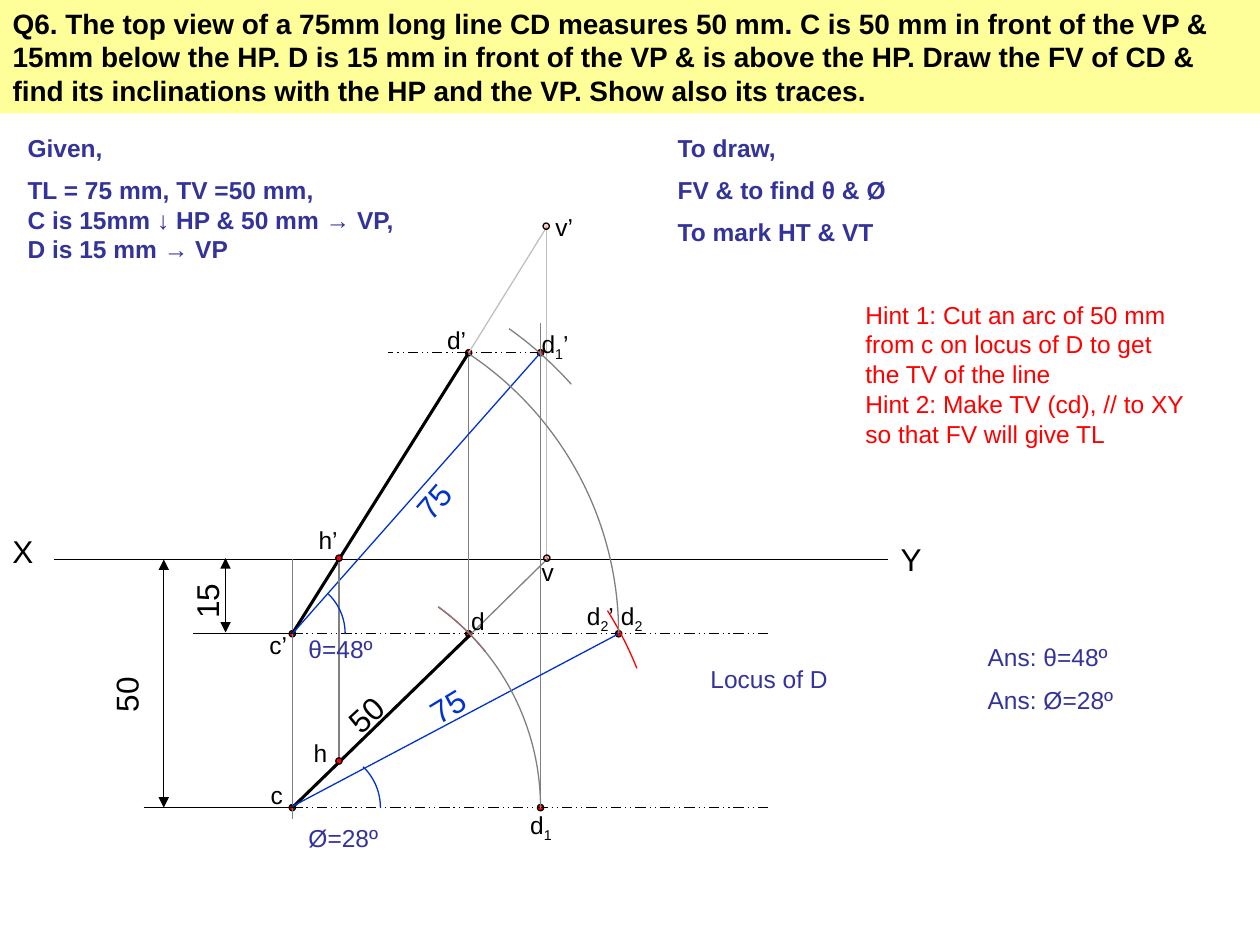
from copy import deepcopy

from lxml.etree import SubElement
from pptx import Presentation
from pptx.dml.color import RGBColor
from pptx.enum.dml import MSO_LINE
from pptx.enum.shapes import MSO_CONNECTOR, MSO_SHAPE
from pptx.enum.text import MSO_ANCHOR, MSO_AUTO_SIZE, PP_ALIGN
from pptx.oxml.ns import qn
from pptx.util import Pt

PX = 9144  # 100 px to the inch
BLACK, GREY, SILVER = "000000", "808080", "C0C0C0"
RED, BLUE, NAVY = "FF0000", "0033CC", "333399"
rgb = RGBColor.from_string

prs = Presentation()
prs.slide_width, prs.slide_height = 1000 * PX, 750 * PX
s = prs.slides.add_slide(prs.slide_layouts[5])


def add_text(x, y, w, h, text, color=BLACK, size=14, bold=False, angle=0):
    """Text box; in a label, _ makes the next character a subscript."""
    sp = s.shapes.add_textbox(x * PX, y * PX, w * PX, h * PX)
    sp.rotation = angle
    tf = sp.text_frame
    tf.word_wrap = True
    if "_" in text:
        base, rest = text.split("_")
        for part in (base, rest[0], rest[1:]):
            if part:
                tf.paragraphs[0].add_run().text = part
        tf.paragraphs[0].runs[1].font._element.set("baseline", "-25000")
    else:
        tf.text = text
    for i, p in enumerate(tf.paragraphs):
        if i:
            p.space_before = Pt(size / 2)
        for r in p.runs:
            r.font.name, r.font.size, r.font.bold = "Arial", Pt(size), bold
            r.font.color.rgb = rgb(color)
        for br in p._p.findall(qn("a:br")):
            br.append(deepcopy(p.runs[0].font._element))


def add_dot(x, y, opacity=100):
    """Point marker centred on x, y."""
    sp = s.shapes.add_shape(MSO_SHAPE.OVAL, int((x - 2.5) * PX), int((y - 2.5) * PX),
                            5 * PX, 5 * PX)
    sp.shadow.inherit = False
    sp.fill.solid()
    sp.fill.fore_color.rgb = rgb(RED)
    if opacity < 100:
        clr = sp._element.spPr.find(".//" + qn("a:srgbClr"))
        SubElement(clr, qn("a:alpha"), val=str(opacity * 1000))
    sp.line.color.rgb = rgb(BLACK)
    sp.line.width = Pt(0.75)


# Question banner
title = s.shapes.title
title.left, title.top, title.width, title.height = 0, 0, 1000 * PX, 90 * PX
title.fill.solid()
title.fill.fore_color.rgb = rgb("FFFF99")
tf = title.text_frame
tf.text = ("Q6. The top view of a 75mm long line CD measures 50 mm. C is 50 mm in front "
           "of the VP & 15mm below the HP. D is 15 mm in front of the VP & is above the HP. "
           "Draw the FV of CD & find its inclinations with the HP and the VP. "
           "Show also its traces.")
tf.auto_size = MSO_AUTO_SIZE.NONE
tf.vertical_anchor = MSO_ANCHOR.TOP
p = tf.paragraphs[0]
p.alignment = PP_ALIGN.LEFT
r = p.runs[0]
r.font.name, r.font.size, r.font.bold = "Arial", Pt(16), True
r.font.color.rgb = rgb(BLACK)

# Points of the views: c', c, d, d1, d1', d', d2
for x, y in [(232, 503), (232, 641), (372, 503), (429, 641), (429, 280),
             (372, 280), (491, 503)]:
    add_dot(x, y)

# Lines: from, to, colour, width, style
lines = [
    (43, 444, 705, 444, BLACK, 0.75, ""),        # XY
    (179, 443, 179, 502, BLACK, 0.75, "arrows"),  # dimensions
    (130, 444, 130, 641, BLACK, 0.75, "arrows"),
    (153, 503, 232, 503, BLACK, 0.75, ""),
    (114, 641, 232, 641, BLACK, 0.75, ""),
    (232, 444, 232, 650, GREY, 0.75, ""),        # projectors and loci
    (232, 503, 611, 503, BLACK, 0.75, "dash"),
    (232, 641, 610, 641, BLACK, 0.75, "dash"),
    (429, 280, 308, 280, BLACK, 0.75, "dash"),
    (232, 641, 373, 504, BLACK, 1.75, ""),       # top view
    (429, 641, 429, 256, GREY, 0.75, ""),
    (372, 503, 372, 280, GREY, 0.75, ""),
    (232, 503, 372, 280, BLACK, 1.75, ""),       # front view
    (232, 503, 429, 280, BLUE, 0.75, ""),        # true lengths
    (232, 640, 491, 503, BLUE, 0.75, ""),
    (373, 504, 435, 443, GREY, 0.75, ""),        # traces
    (269, 443, 269, 604, GREY, 0.75, ""),
    (434, 443, 434, 180, SILVER, 0.75, ""),
    (372, 280, 434, 180, SILVER, 0.75, ""),
]
for x1, y1, x2, y2, color, width, style in lines:
    line = s.shapes.add_connector(MSO_CONNECTOR.STRAIGHT, x1 * PX, y1 * PX, x2 * PX, y2 * PX)
    line.line.color.rgb = rgb(color)
    line.line.width = Pt(width)
    if style == "dash":
        line.line.dash_style = MSO_LINE.DASH_DOT_DOT
    elif style == "arrows":
        for end in ("a:headEnd", "a:tailEnd"):
            SubElement(line._element.spPr.find(qn("a:ln")), qn(end), type="triangle")
    SubElement(line._element.spPr, qn("a:effectLst"))

# Arcs: centre, radius, start and end angle (clockwise degrees), colour
arcs = [
    (232, 641, 197, 306, 321, RED),
    (232, 641, 197, 306, 0, GREY),
    (232, 503, 297, 305.4, 318.2, GREY),
    (230, 503, 44, 314, 0, BLUE),
    (232, 641, 295, 328, 338, RED),
    (224, 503, 267, 303.6, 0, GREY),
    (257, 641, 45, 314, 0, BLUE),
]
for x, y, radius, start, end, color in arcs:
    arc = s.shapes.add_shape(MSO_SHAPE.ARC, (x - radius) * PX, (y - radius) * PX,
                             2 * radius * PX, 2 * radius * PX)
    arc.shadow.inherit = False
    arc.adjustments[0], arc.adjustments[1] = start * 0.6, end * 0.6
    arc.fill.background()
    arc.line.color.rgb = rgb(color)
    arc.line.width = Pt(0.75)

# Trace points: h', h, v, v'
for x, y, opacity in [(269, 443, 100), (269, 604, 100), (434, 443, 32), (433.5, 179.5, 19)]:
    add_dot(x, y, opacity)

# Given data, task, hints and answers
add_text(12, 101, 372, 115, "Given,\nTL = 75 mm, TV =50 mm,\vC is 15mm ↓ HP & 50 mm → VP,"
         "\vD is 15 mm → VP", NAVY, bold=True)
add_text(528, 101, 287, 103, "To draw,\nFV & to find θ & Ø\nTo mark HT & VT", NAVY, bold=True)
add_text(677, 233, 277, 80,
         "Hint 1: Cut an arc of 50 mm from c on locus of D to get the TV of the line", RED)
add_text(677, 304, 277, 57, "Hint 2: Make TV (cd), // to XY so that FV will give TL", RED)
for x, y, w, text in [(554, 522, 115, "Locus of D"), (235, 498, 77, "θ=48º"),
                      (235, 648, 77, "Ø=28º"), (774, 505, 146, "Ans: θ=48º"),
                      (774, 539, 146, "Ans: Ø=28º")]:
    add_text(x, y, w, 33, text, NAVY)

# Point labels
for x, y, text in [(204, 495, "c’"), (205, 614, "c"), (364, 476, "d"), (411, 638, "d_1"),
                   (420, 256, "d_1’"), (345, 253, "d’"), (483, 472, "d_2"),
                   (456, 472, "d_2’"), (243, 412, "h’"), (239, 581, "h"),
                   (420, 437, "v"), (431, 163, "v’")]:
    add_text(x, y, 57, 33, text)

# Axis letters and dimensions
for x, y, w, text, color, angle in [
        (0, 417, 59, "X", BLACK, 0), (705, 424, 53, "Y", BLACK, 0),
        (128, 445, 72, "15", BLACK, 270), (64, 519, 72, "50", BLACK, 270),
        (264, 541, 66, "50", BLACK, 317.3), (317, 371, 66, "75", BLUE, 310.9),
        (330, 535, 66, "75", BLUE, 328.8)]:
    add_text(x, y, w, 40, text, color, 18, angle=angle)

prs.save("out.pptx")
